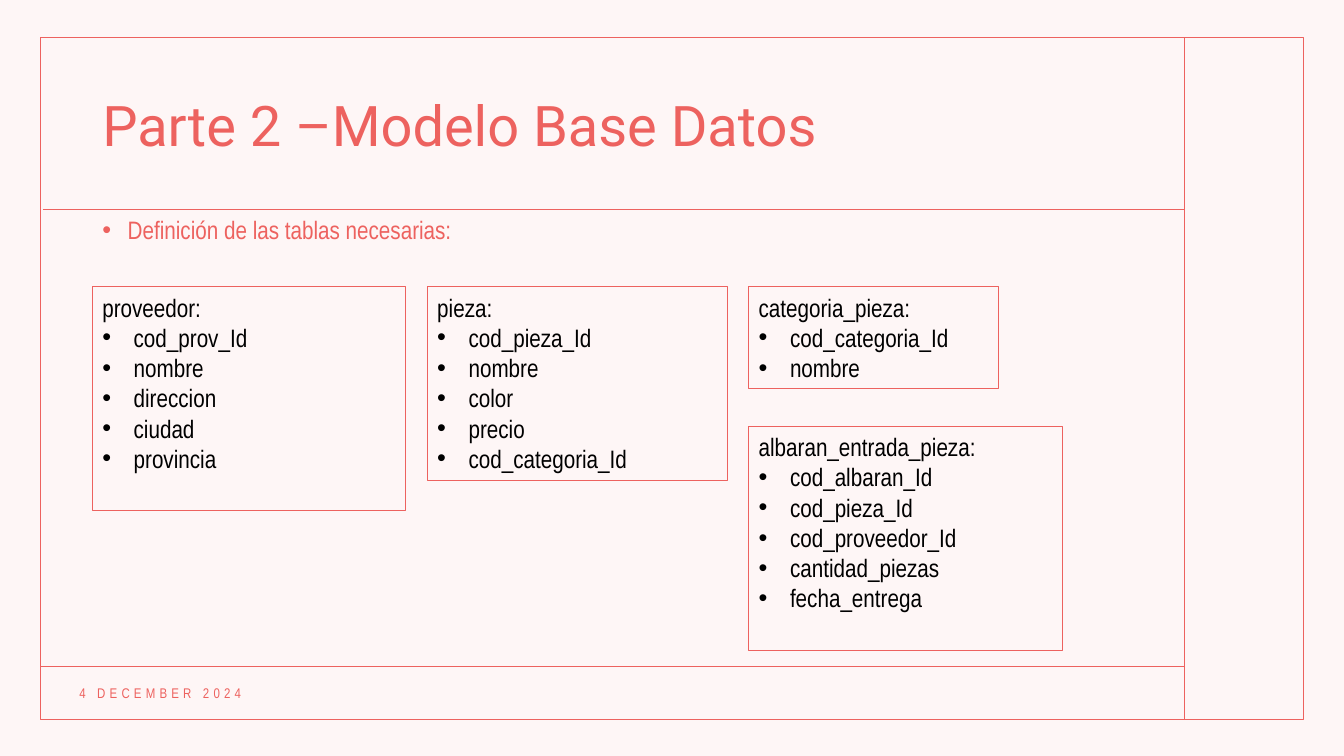
from lxml import etree
from pptx import Presentation
from pptx.dml.color import RGBColor
from pptx.enum.shapes import MSO_CONNECTOR, MSO_SHAPE
from pptx.enum.text import MSO_ANCHOR, PP_ALIGN
from pptx.oxml.ns import qn
from pptx.util import Cm, Pt

RECTANGLE = MSO_SHAPE.RECTANGLE
STRAIGHT = MSO_CONNECTOR.STRAIGHT
LEFT = PP_ALIGN.LEFT
TOP, MIDDLE = MSO_ANCHOR.TOP, MSO_ANCHOR.MIDDLE

CORAL, BLACK = "ED625F", "000000"
NARROW, ROBOTO = "Arial Narrow", "Roboto"
SLIDE_W, SLIDE_H = 33.87, 19.05

# Lengths in cm: left, top, width, height
TITLE = ("Parte 2 –Modelo Base Datos", (2.33, 1.52, 26.47, 3.45))
INTRO = ("Definición de las tablas necesarias:", (2.33, 4.98, 26.47, 10.13))
DATE = ("4 DECEMBER 2024", (1.75, 17.07, 8.76, 0.79))

ROW_TOP = 7.23
COLUMNS = (2.33, 10.77, 18.87)
TABLES = [
    ("proveedor:", ["cod_prov_Id", "nombre", "direccion", "ciudad", "provincia"],
     (COLUMNS[0], ROW_TOP, 7.9, 5.64)),
    ("categoria_pieza:", ["cod_categoria_Id", "nombre"],
     (COLUMNS[2], ROW_TOP, 6.3, 2.56)),
    ("pieza:", ["cod_pieza_Id", "nombre", "color", "precio", "cod_categoria_Id"],
     (COLUMNS[1], ROW_TOP, 7.57, 4.87)),
    ("albaran_entrada_pieza:",
     ["cod_albaran_Id", "cod_pieza_Id", "cod_proveedor_Id", "cantidad_piezas", "fecha_entrega"],
     (COLUMNS[2], 10.75, 7.9, 5.64)),
]

FRAME = (1.02, 0.94, 31.83, 17.19)
SIDEBAR_X = 29.85
RULES = [
    (SIDEBAR_X, 0.94, SIDEBAR_X, 18.12),
    (1.03, 16.79, SIDEBAR_X, 16.79),
    (1.08, 5.28, SIDEBAR_X, 5.28),
]


def rgb(color):
    return RGBColor.from_string(color)


def add_panel(slide, place, line=None):
    """Rectangle without fill or shadow; line is a width in points."""
    panel = slide.shapes.add_shape(RECTANGLE, *map(Cm, place))
    panel.shadow.inherit = False
    panel.fill.background()
    if line:
        panel.line.color.rgb = rgb(CORAL)
        panel.line.width = Pt(line)
    else:
        panel.line.fill.background()
    return panel


def add_tint(slide):
    """Cover the slide with the accent colour at 5 % opacity."""
    tint = add_panel(slide, (0, 0, SLIDE_W, SLIDE_H))
    tint.fill.solid()
    tint.fill.fore_color.rgb = rgb(CORAL)
    color = tint.fill._xPr.find(qn("a:solidFill"))[0]
    etree.SubElement(color, qn("a:alpha"), val="5000")


def add_rule(slide, ends):
    rule = slide.shapes.add_connector(STRAIGHT, *map(Cm, ends))
    rule.line.color.rgb = rgb(CORAL)
    rule.line.width = Pt(1)
    etree.SubElement(rule._element.spPr, qn("a:effectLst"))


def write(paragraph, text, color, size=18, font=NARROW, bullet_indent=None, spacing=None):
    paragraph.alignment = LEFT
    if spacing:
        paragraph.line_spacing = spacing
    if bullet_indent:
        properties = paragraph._p.get_or_add_pPr()
        properties.set("marL", str(Cm(bullet_indent)))
        properties.set("indent", str(-Cm(bullet_indent)))
        etree.SubElement(properties, qn("a:buFont"), typeface="Arial")
        etree.SubElement(properties, qn("a:buChar"), char="•")
    run = paragraph.add_run()
    run.text = text
    for name, value in {"size": Pt(size), "name": font}.items():
        setattr(run.font, name, value)
    run.font.color.rgb = rgb(color)
    return run


def add_text(slide, content, anchor, **style):
    text, place = content
    frame = slide.shapes.add_textbox(*map(Cm, place)).text_frame
    frame.word_wrap = True
    frame.vertical_anchor = anchor
    return write(frame.paragraphs[0], text, CORAL, **style)


def add_table_box(slide, heading, fields, place):
    frame = add_panel(slide, place, line=0.75).text_frame
    frame.word_wrap = True
    frame.vertical_anchor = TOP
    write(frame.paragraphs[0], heading, BLACK)
    for field in fields:
        write(frame.add_paragraph(), field, BLACK, bullet_indent=0.79)


def main():
    deck = Presentation()
    deck.slide_width, deck.slide_height = Cm(SLIDE_W), Cm(SLIDE_H)
    slide = deck.slides.add_slide(deck.slide_layouts[6])

    add_tint(slide)
    add_panel(slide, FRAME, line=1)
    for ends in RULES:
        add_rule(slide, ends)

    add_text(slide, TITLE, MIDDLE, size=40, font=ROBOTO, spacing=0.9)
    add_text(slide, INTRO, TOP, bullet_indent=0.64, spacing=1.4)
    date = add_text(slide, DATE, MIDDLE, size=10)
    date.font._element.set("spc", "300")

    for heading, fields, place in TABLES:
        add_table_box(slide, heading, fields, place)
    deck.save("out.pptx")


if __name__ == "__main__":
    main()
